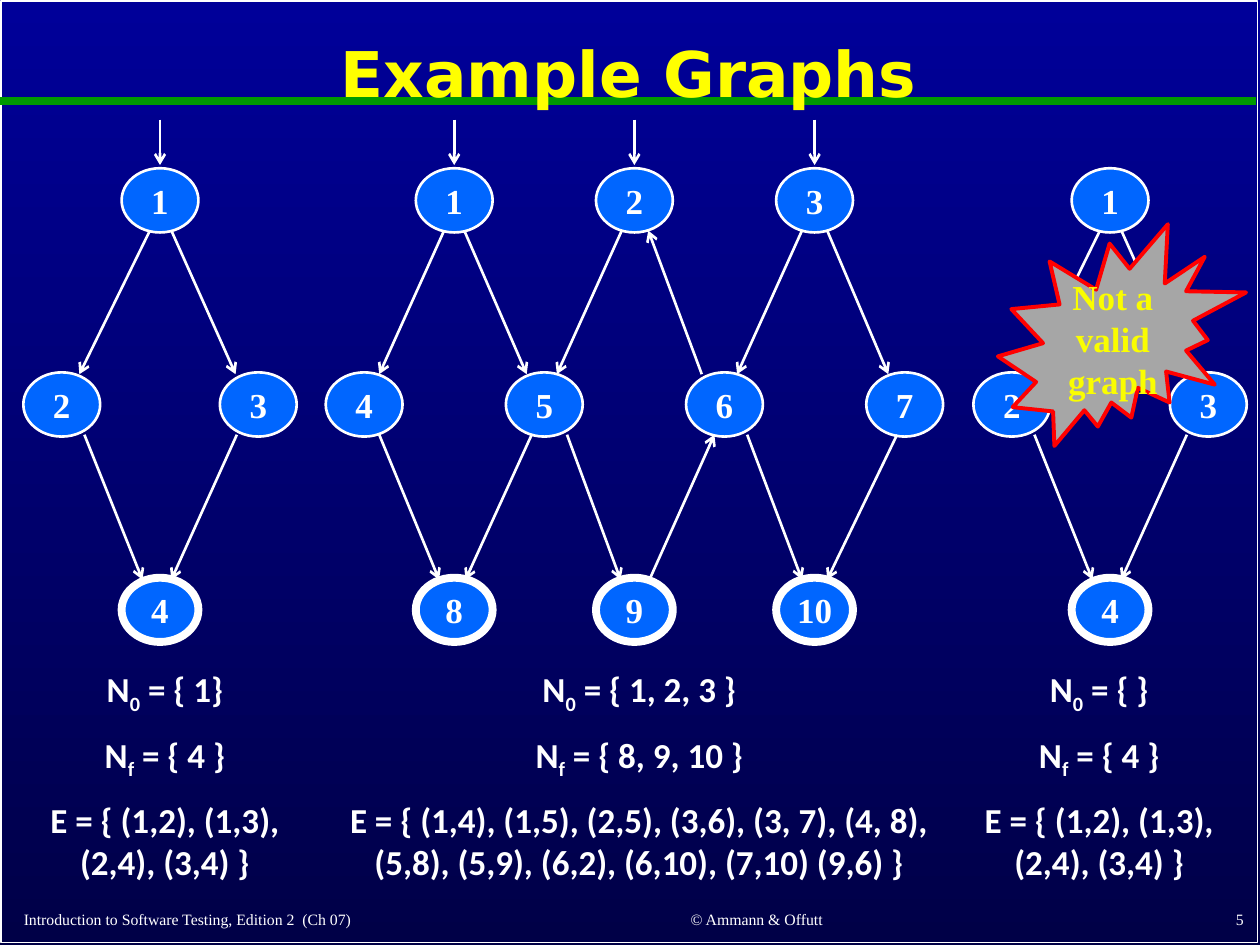
from dataclasses import dataclass

from lxml import etree
from pptx import Presentation
from pptx import util as u
from pptx.dml.color import RGBColor
from pptx.enum import shapes, text
from pptx.oxml import ns


@dataclass(frozen=True)
class Theme:
    white: str = "FFFFFF"
    title: str = "FFFF00"
    node: str = "0066FF"
    rule: str = "009900"
    warning: str = "FAFD00"
    seal: str = "A6A6A6"
    seal_edge: str = "FF0000"
    sky: tuple = ("000099", "000047")
    serif: str = "Times New Roman"
    sans: str = "Calibri"
    heading: str = "DejaVu Sans"
    title_size: int = 36
    body_size: int = 20
    footer_size: int = 9
    thin: float = 1.5
    thick: float = 4.5


ALIGN = {"l": text.PP_ALIGN.LEFT, "c": text.PP_ALIGN.CENTER, "r": text.PP_ALIGN.RIGHT}
ANCHOR = {"t": text.MSO_ANCHOR.TOP, "m": text.MSO_ANCHOR.MIDDLE, "b": text.MSO_ANCHOR.BOTTOM}


def write(frame, content, *, size, font, color, bold=True, align="c", anchor="m",
          wrap=True, margins=(0.1, 0.05), spacing=None, before=0):
    frame.word_wrap = wrap
    frame.vertical_anchor = ANCHOR[anchor]
    frame.margin_left = frame.margin_right = u.Inches(margins[0])
    frame.margin_top = frame.margin_bottom = u.Inches(margins[1])
    for index, line in enumerate(content.split("\n")):
        paragraph = frame.add_paragraph() if index else frame.paragraphs[0]
        paragraph.alignment = ALIGN[align]
        if spacing:
            paragraph.line_spacing = spacing
        if before:
            gap = etree.SubElement(paragraph._p.get_or_add_pPr(), ns.qn("a:spcBef"))
            etree.SubElement(gap, ns.qn("a:spcPct"), val=str(before * 1000))
        plain, *marked = line.split("_")
        pieces = [(plain, 0)]
        for part in marked:
            pieces += [(part[0], -25000), (part[1:], 0)]
        for words, baseline in pieces:
            run = paragraph.add_run()
            run.text = words
            run.font.size, run.font.name, run.font.bold = u.Pt(size), font, bold
            run.font.color.rgb = RGBColor.from_string(color)
            if baseline:
                run.font._element.set("baseline", str(baseline))


class Board:
    def __init__(self, slide, theme):
        self.slide = slide
        self.theme = theme

    def background(self):
        fill = self.slide.background.fill
        fill.gradient()
        fill.gradient_angle = 270
        for stop, color in zip(fill.gradient_stops, self.theme.sky):
            stop.color.rgb = RGBColor.from_string(color)

    def shape(self, preset, box, fill, edge, weight):
        outline = self.slide.shapes.add_shape(preset, *map(u.Inches, box))
        outline.shadow.inherit = False
        if fill:
            outline.fill.solid()
            outline.fill.fore_color.rgb = RGBColor.from_string(fill)
        else:
            outline.fill.background()
        outline.line.color.rgb = RGBColor.from_string(edge)
        outline.line.width = u.Pt(weight)
        return outline

    def label(self, box, content, **style):
        write(self.slide.shapes.add_textbox(*map(u.Inches, box)).text_frame, content, **style)

    def line(self, start, end, color, weight, arrow=False):
        link = self.slide.shapes.add_connector(
            shapes.MSO_CONNECTOR.STRAIGHT, *map(u.Inches, (*start, *end)))
        link.line.color.rgb = RGBColor.from_string(color)
        link.line.width = u.Pt(weight)
        if arrow:
            etree.SubElement(link.line._get_or_add_ln(), ns.qn("a:tailEnd"), type="arrow")
        etree.SubElement(link._element.spPr, ns.qn("a:effectLst"))

    def node(self, name, center, final):
        t = self.theme
        x, y = center
        circle = self.shape(shapes.MSO_SHAPE.OVAL,
                            (x - NODE_W / 2, y - NODE_H / 2, NODE_W, NODE_H),
                            t.node, t.white, t.thick if final else t.thin)
        write(circle.text_frame, str(name), size=t.body_size, font=t.serif,
              color=t.white, wrap=False, margins=(0, 0))

    def arrow(self, start, end):
        self.line(start, end, self.theme.white, self.theme.thin, arrow=True)

    def graph(self, left, step, nodes, edges, entries):
        centers = {name: (left + column * step, ROWS[row])
                   for name, (column, row) in nodes.items()}
        for name, center in centers.items():
            self.node(name, center, final=nodes[name][1] == len(ROWS) - 1)
        for source, target, leave, arrive in edges:
            (x1, y1), (x2, y2) = centers[source], centers[target]
            side = 0.24 if y2 > y1 else -0.24
            self.arrow((x1 + leave, y1 + side), (x2 + arrive, y2 - side))
        for name in entries:
            x = centers[name][0]
            self.arrow((x, 0.95), (x, 1.31))


NODE_W, NODE_H = 0.61, 0.51
ROWS = (1.59, 3.21, 4.84)

DIAMOND = {1: (1, 0), 2: (0, 1), 3: (2, 1), 4: (1, 2)}
DIAMOND_EDGES = [(1, 2, -0.08, 0.14), (1, 3, 0.09, -0.18),
                 (2, 4, 0.18, -0.14), (3, 4, -0.17, 0.09)]
LATTICE = {1: (1, 0), 2: (3, 0), 3: (5, 0),
           4: (0, 1), 5: (2, 1), 6: (4, 1), 7: (6, 1),
           8: (1, 2), 9: (3, 2), 10: (5, 2)}
LATTICE_EDGES = [(1, 4, -0.08, 0.12), (1, 5, 0.08, -0.14), (2, 5, -0.1, 0.1),
                 (3, 6, -0.1, 0.1), (3, 7, 0.1, -0.13), (4, 8, 0.12, -0.12),
                 (5, 8, -0.1, 0.09), (5, 9, 0.18, -0.11), (6, 2, -0.18, 0.11),
                 (6, 10, 0.18, -0.1), (7, 10, -0.06, 0.1), (9, 6, 0.12, -0.08)]
GRAPHS = [(0.49, 0.78, DIAMOND, DIAMOND_EDGES, [1]),
          (8.03, 0.78, DIAMOND, DIAMOND_EDGES, []),
          (2.89, 1.43 / 2, LATTICE, LATTICE_EDGES, [1, 2, 3])]
DIAMOND_SET = "E = { (1,2), (1,3), (2,4), (3,4) }"
LATTICE_SET = ("E = { (1,4), (1,5), (2,5), (3,6), (3, 7), (4, 8), "
               "(5,8), (5,9), (6,2), (6,10), (7,10) (9,6) }")
DEFINITIONS = [(0.18, 2.26, "1}", "4", DIAMOND_SET),
               (7.56, 2.33, "}", "4", DIAMOND_SET),
               (2.59, 4.97, "1, 2, 3 }", "8, 9, 10", LATTICE_SET)]
FOOTERS = [((0.09, 7.12, 4.12, 0.3), "Introduction to Software Testing, Edition 2  (Ch 07)", "l"),
           ((4.42, 7.11, 3.17, 0.31), "© Ammann & Offutt", "c"),
           ((7.89, 7.1, 2.08, 0.32), "5", "r")]


def main():
    deck = Presentation()
    deck.slide_width, deck.slide_height = u.Inches(10), u.Inches(7.5)
    t = Theme()
    board = Board(deck.slides.add_slide(deck.slide_layouts[6]), t)
    board.background()
    board.shape(shapes.MSO_SHAPE.RECTANGLE, (0.01, 0.01, 9.97, 7.47), None, t.white, 1)
    board.line((0, 0.8), (9.97, 0.8), t.rule, t.thick)
    for box, credit, align in FOOTERS:
        board.label(box, credit, size=t.footer_size, font=t.serif, color=t.white,
                    bold=False, align=align, anchor="b")
    board.label((0.09, 0.11, 9.8, 1), "Example Graphs", size=t.title_size,
                font=t.heading, color=t.title, spacing=0.9)
    for graph in GRAPHS:
        board.graph(*graph)
    for left, width, initial, final, edges in DEFINITIONS:
        board.label((left, 5.25, width, 1.78),
                    f"N_0 = {{ {initial}\nN_f = {{ {final} }}\n{edges}",
                    size=t.body_size, font=t.sans, color=t.white, anchor="t", before=50)
    verdict = board.shape(shapes.MSO_SHAPE.EXPLOSION2, (7.92, 1.78, 1.97, 1.76),
                          t.seal, t.seal_edge, 2.25)
    write(verdict.text_frame, "Not a\nvalid\ngraph", size=t.body_size, font=t.serif,
          color=t.warning, wrap=False)
    deck.save("out.pptx")


if __name__ == "__main__":
    main()
